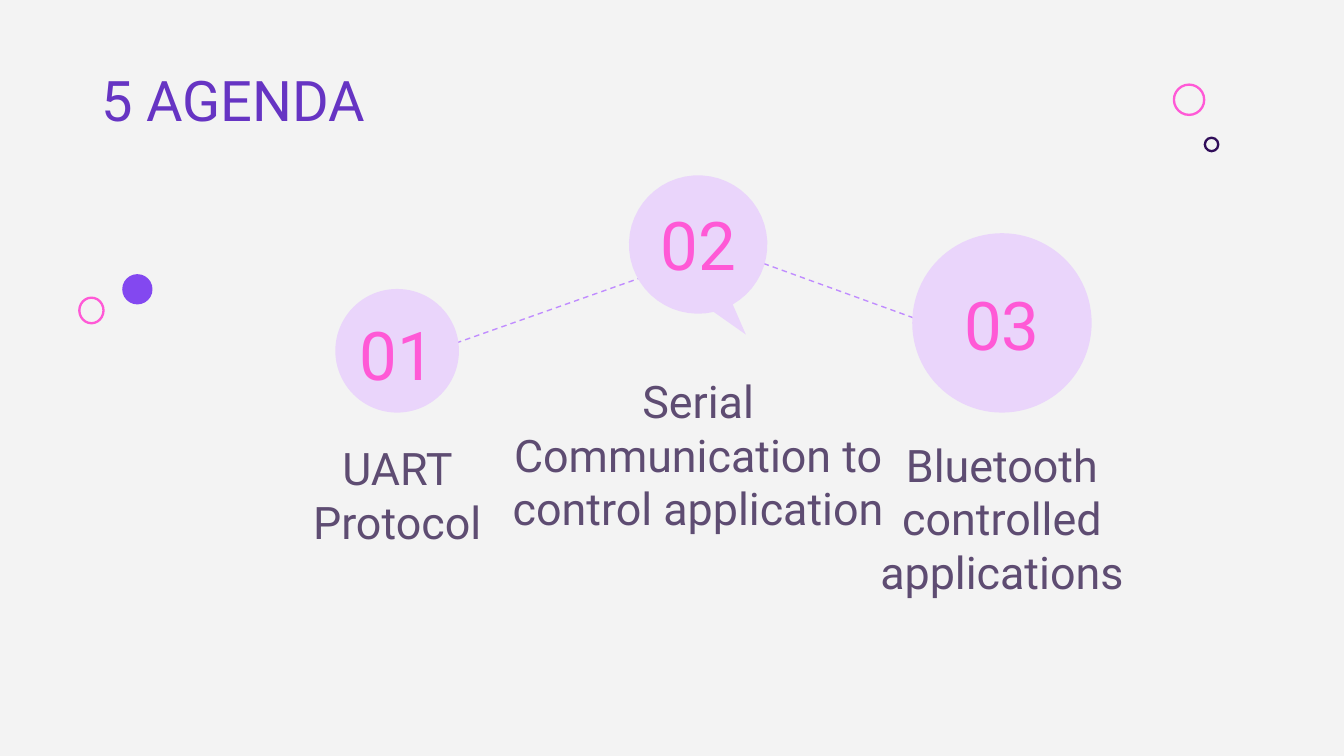
from math import cos, radians, sin

from lxml.etree import SubElement
from pptx import Presentation
from pptx.dml.color import RGBColor
from pptx.enum.dml import MSO_LINE
from pptx.enum.shapes import MSO_CONNECTOR, MSO_SHAPE
from pptx.enum.text import MSO_ANCHOR as ANCHOR, PP_ALIGN as ALIGN
from pptx.oxml.ns import qn
from pptx.util import Pt

PX = 4572  # 200 px to the inch
FONT = "Roboto"
PAPER = RGBColor(0xF3, 0xF3, 0xF3)
PINK = RGBColor(0xFF, 0x59, 0xD6)
NAVY = RGBColor(0x30, 0x0D, 0x59)
VIOLET = RGBColor(0x83, 0x48, 0xF0)
PURPLE = RGBColor(0x66, 0x34, 0xC3)
GREY = RGBColor(0x5E, 0x4C, 0x72)
LILAC = RGBColor(0xEA, 0xD5, 0xFB)
DASH = RGBColor(0xC0, 0x8C, 0xFF)


def px(*values):
    return [round(v * PX) for v in values]


def fill_plain(sp, color):
    sp.shadow.inherit = False
    sp.fill.solid()
    sp.fill.fore_color.rgb = color
    sp.line.fill.background()


def add_dot(s, box, color):
    fill_plain(s.shapes.add_shape(MSO_SHAPE.OVAL, *px(*box)), color)


def add_ring(s, box, color, width):
    sp = s.shapes.add_shape(MSO_SHAPE.OVAL, *px(*box))
    sp.shadow.inherit = False
    sp.fill.background()
    sp.line.color.rgb = color
    sp.line.width = Pt(width)


def add_speech_bubble(s, x, y, size, color):
    """Circle with a tail at its lower right."""
    radius = size / 2
    cx, cy = x + radius, y + radius
    arc = [(cx + radius * cos(radians(a)), cy + radius * sin(radians(a)))
           for a in range(77, 421, 7)]
    points = [px(*p) for p in arc + [(cx + 71, cy + 134)]]
    builder = s.shapes.build_freeform(*points[0], scale=1.0)
    builder.add_line_segments(points[1:], close=True)
    fill_plain(builder.convert_to_shape(), color)


def add_text(s, box, text, size, color, align=ALIGN.LEFT, anchor=ANCHOR.TOP):
    tf = s.shapes.add_textbox(*px(*box)).text_frame
    tf.word_wrap = True
    tf.vertical_anchor = anchor
    tf.margin_left = tf.margin_top = tf.margin_right = tf.margin_bottom = 20 * PX
    p = tf.paragraphs[0]
    p.alignment = align
    r = p.add_run()
    r.text = text
    r.font.name = FONT
    r.font.size = Pt(size)
    r.font.color.rgb = color


def add_dashed_line(s, start, end):
    line = s.shapes.add_connector(MSO_CONNECTOR.STRAIGHT, *px(*start, *end))
    line.line.color.rgb = DASH
    line.line.width = Pt(0.75)
    line.line.dash_style = MSO_LINE.DASH
    SubElement(line._element.spPr, qn("a:effectLst"))


def add_item(s, box, size, number_box, label_h, number, label, tail=False):
    """Numbered bubble at the top of the box, label at its bottom."""
    x, y, w, h = box
    left = x + (w - size) / 2
    if tail:
        add_speech_bubble(s, left, y, size, LILAC)
    else:
        add_dot(s, (left, y, size, size), LILAC)
    dy, number_w = number_box
    add_text(s, (x + (w - number_w) / 2, y + dy, number_w, 126), number,
             36, PINK, ALIGN.CENTER, ANCHOR.MIDDLE)
    add_text(s, (x, y + h - label_h, w, label_h), label,
             24, GREY, ALIGN.CENTER, ANCHOR.BOTTOM)


def add_decoration(s):
    add_ring(s, (1747, 126, 45, 45), PINK, 1.25)
    add_ring(s, (1793, 205, 20, 20), NAVY, 1.25)
    add_dot(s, (182, 408, 45, 45), VIOLET)
    add_ring(s, (118, 443, 36, 38), PINK, 1.25)


def build_agenda(prs):
    s = prs.slides.add_slide(prs.slide_layouts[6])
    s.background.fill.solid()
    s.background.fill.fore_color.rgb = PAPER
    add_decoration(s)
    add_text(s, (131, 78, 1472, 142), "5 AGENDA", 30, PURPLE)
    add_dashed_line(s, (1042, 358), (1478, 516))
    add_dashed_line(s, (584, 544), (1048, 380))
    add_item(s, (404, 430, 374, 406), 184, (33, 158), 186,
             "01", "UART Protocol")
    add_item(s, (736, 261, 606, 555), 206, (38, 290), 142,
             "02", "Serial Communication to control application", tail=True)
    add_item(s, (1181, 347, 620, 564), 267, (71, 264), 192,
             "03", "Bluetooth controlled applications")


def main():
    prs = Presentation()
    prs.slide_width, prs.slide_height = px(2000, 1125)
    build_agenda(prs)
    prs.save("out.pptx")


if __name__ == "__main__":
    main()
